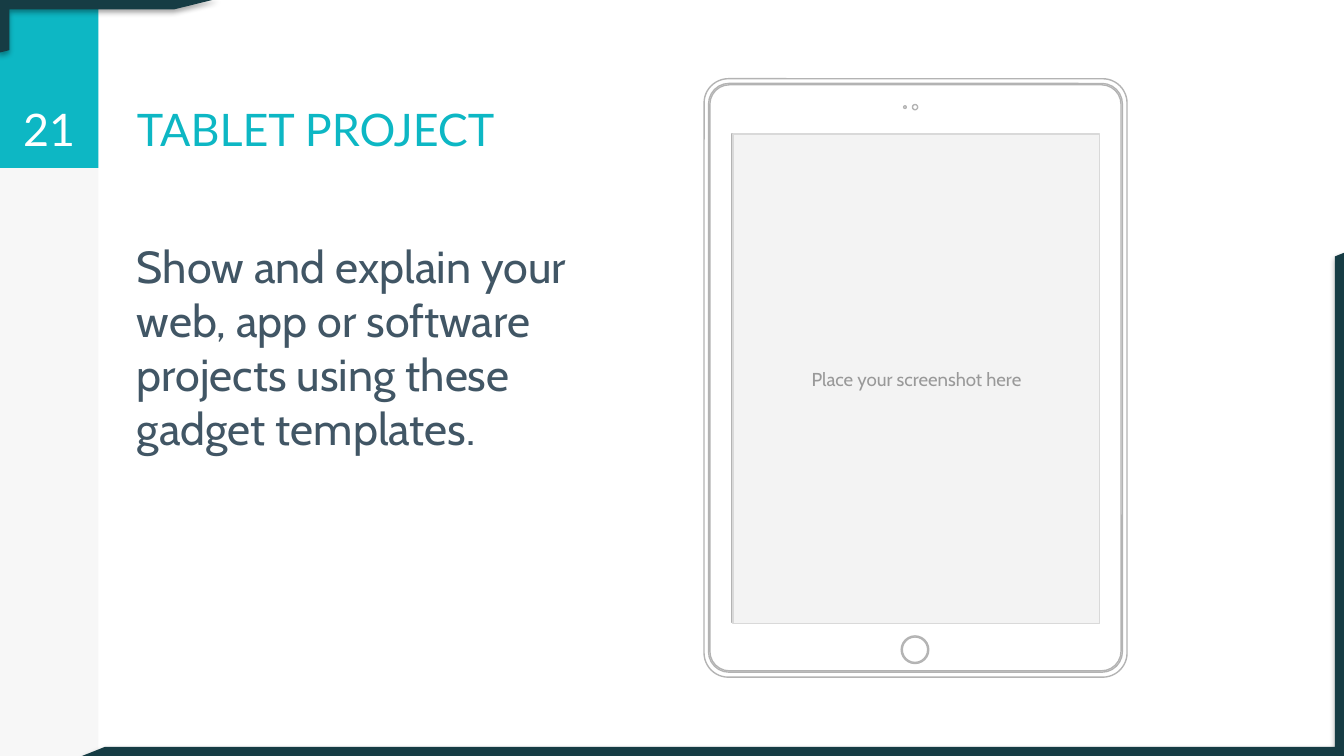
from lxml.etree import SubElement
from pptx import Presentation
from pptx.dml.color import RGBColor
from pptx.enum.shapes import MSO_SHAPE
from pptx.enum.text import MSO_ANCHOR, PP_ALIGN
from pptx.oxml import parse_xml
from pptx.oxml.ns import qn
from pptx.util import Pt

TEAL = RGBColor(0x0D, 0xB7, 0xC4)
DARK = RGBColor(0x16, 0x3C, 0x44)
SLATE = RGBColor(0x41, 0x56, 0x65)
WHITE = RGBColor(0xFF, 0xFF, 0xFF)
BLACK = RGBColor(0x00, 0x00, 0x00)
OUTLINE = RGBColor(0xB3, 0xB3, 0xB3)
SCREEN = RGBColor(0xF3, 0xF3, 0xF3)
SCREEN_EDGE = RGBColor(0xD9, 0xD9, 0xD9)
HINT = RGBColor(0x99, 0x99, 0x99)

SHADOW = (
    '<a:effectLst xmlns:a="http://schemas.openxmlformats.org/drawingml/2006/main">'
    '<a:outerShdw blurRad="39370" dist="22860" dir="5400000" algn="t" rotWithShape="0">'
    '<a:srgbClr val="000000"><a:alpha val="35000"/></a:srgbClr>'
    '</a:outerShdw></a:effectLst>'
)

deck = Presentation()
deck.slide_width, deck.slide_height = Pt(720), Pt(405)
page = deck.slides.add_slide(deck.slide_layouts[6])


def add_figure(kind, place, fill, line=None):
    """Add a filled preset shape, with a thin outline if a line colour is given."""
    figure = page.shapes.add_shape(kind, *map(Pt, place))
    figure.shadow.inherit = False
    figure.fill.solid()
    figure.fill.fore_color.rgb = fill
    if line is None:
        figure.line.fill.background()
    else:
        figure.line.color.rgb = line
        figure.line.width = Pt(0.75)
    return figure


def write(box, text, anchor, align, before, font):
    """Put one paragraph of text in a box with even insets."""
    frame = box.text_frame
    layout = {"word_wrap": True, "vertical_anchor": anchor}
    for side in ("left", "right", "top", "bottom"):
        layout["margin_" + side] = Pt(7.2)
    for name, value in layout.items():
        setattr(frame, name, value)
    para = frame.paragraphs[0]
    para.alignment = align
    para.space_before = Pt(before)
    span = para.add_run()
    span.text = text
    span.font.name, span.font.size = font[0], Pt(font[1])
    span.font.color.rgb = font[2]


# Side band and corner frames
band = add_figure(MSO_SHAPE.RECTANGLE, (0, 0, 52.7, 405), BLACK)
band_colour = band.fill._xPr.find(qn("a:solidFill"))[0]
SubElement(band_colour, qn("a:alpha")).set("val", "3000")
add_figure(MSO_SHAPE.RECTANGLE, (0, 0, 52.7, 90), TEAL)

for place, thickness, turn in (
    ((-0.7, -0.7, 117.2, 29), 0.2, 0),
    ((43.9, 135.4, 676.1, 269.6), 0.018, 180),
):
    corner = add_figure(MSO_SHAPE.HALF_FRAME, place, DARK)
    corner.adjustments[0] = corner.adjustments[1] = thickness
    corner.rotation = turn
    properties = corner._element.spPr
    properties.replace(properties.find(qn("a:effectLst")), parse_xml(SHADOW))

# Tablet, from the case inwards
for place, radius in (
    ((377.2, 42.2, 226.6, 320.6), 13),
    ((379.6, 44.7, 221.7, 315.4), 11),
    ((380.3, 45.4, 220.3, 314), 10.5),
):
    case = add_figure(MSO_SHAPE.ROUNDED_RECTANGLE, place, WHITE, OUTLINE)
    case.adjustments[0] = radius / place[2]

for centre_x, centre_y, size in (
    (484.8, 57.4, 1.4),
    (490.2, 57.4, 2.8),
    (490.2, 348.1, 14.8),
    (490.2, 348.1, 13.6),
):
    corner_place = (centre_x - size / 2, centre_y - size / 2, size, size)
    add_figure(MSO_SHAPE.OVAL, corner_place, WHITE, OUTLINE)

add_figure(MSO_SHAPE.RECTANGLE, (392.2, 71.8, 196.4, 261.6), WHITE, OUTLINE)
screen = add_figure(MSO_SHAPE.RECTANGLE, (392.7, 71.8, 196.4, 262.4), SCREEN, SCREEN_EDGE)
write(screen, "Place your screenshot here", MSO_ANCHOR.MIDDLE, PP_ALIGN.CENTER, 0,
      ("Cabin", 10, HINT))

# Title, body and page number
for place, text, anchor, align, before, font in (
    ((66.3, 0.5, 280, 90), "TABLET PROJECT", MSO_ANCHOR.BOTTOM, PP_ALIGN.LEFT, 0,
     ("Lato", 24, TEAL)),
    ((66.3, 120.9, 280, 267),
     "Show and explain your web, app or software projects using these gadget templates.",
     MSO_ANCHOR.TOP, PP_ALIGN.LEFT, 6, ("Cabin", 24, SLATE)),
    ((0, 0.3, 52.7, 90), "21", MSO_ANCHOR.BOTTOM, PP_ALIGN.CENTER, 0,
     ("Lato", 24, WHITE)),
):
    write(page.shapes.add_textbox(*map(Pt, place)), text, anchor, align, before, font)

deck.save("out.pptx")
